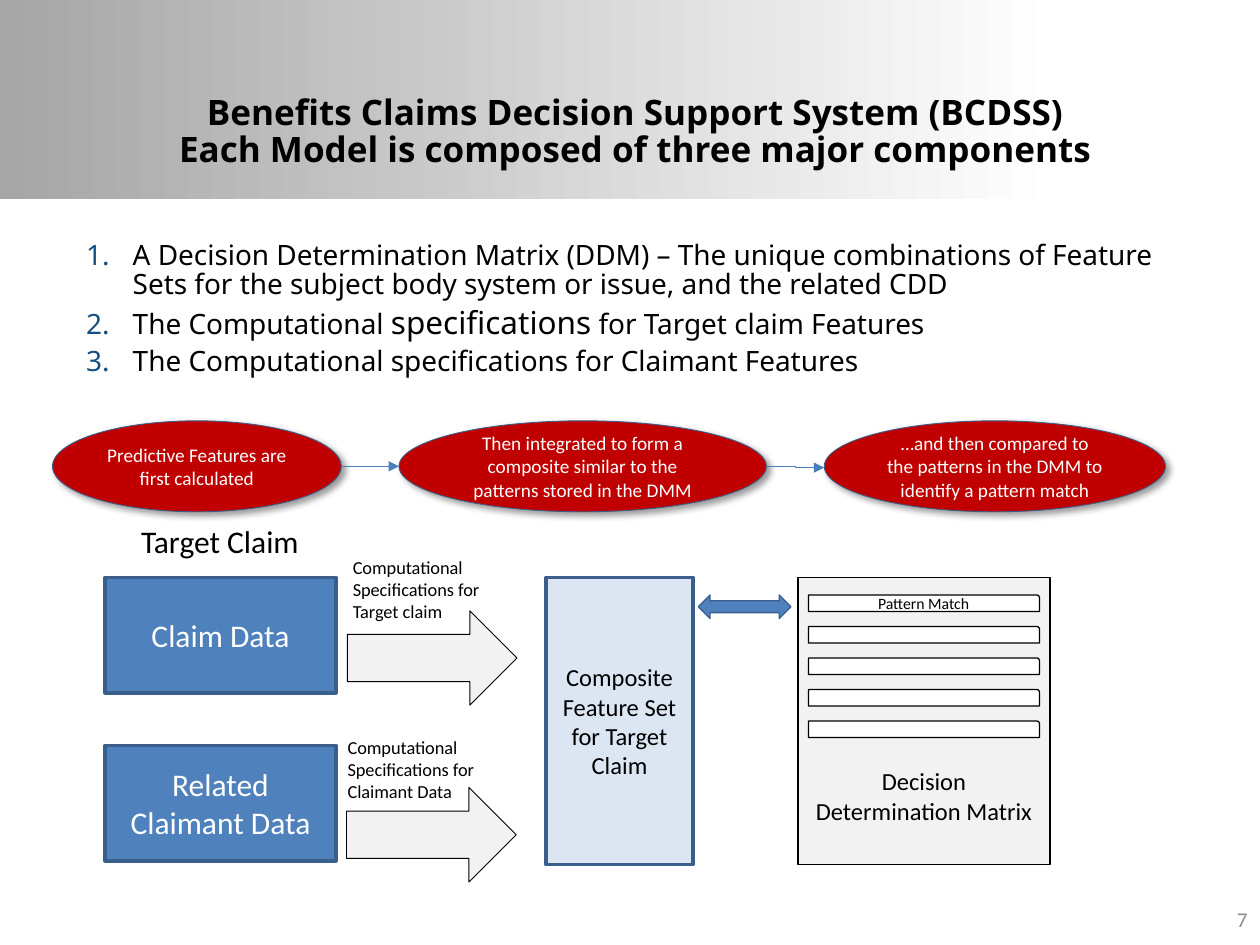
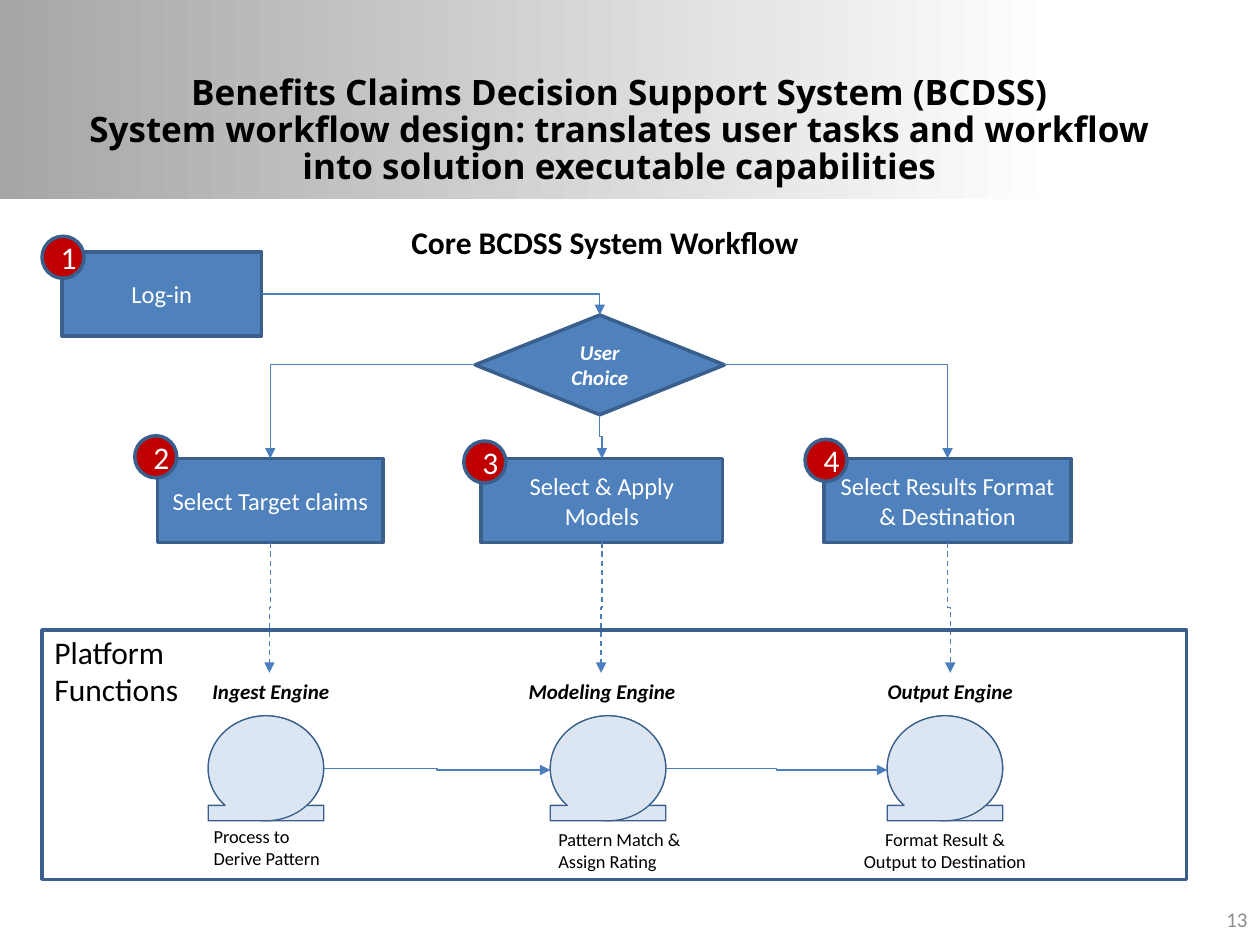
from lxml.etree import SubElement
from pptx import Presentation
from pptx.dml.color import RGBColor
from pptx.enum.dml import MSO_LINE
from pptx.enum.shapes import MSO_CONNECTOR, MSO_SHAPE
from pptx.enum.text import MSO_ANCHOR, MSO_AUTO_SIZE, PP_ALIGN
from pptx.oxml.ns import qn
from pptx.util import Pt

BLUE, NAVY, PALE, RED = "4F81BD", "3A5F8C", "DCE6F2", "C00000"
LIGHT, BLACK, WHITE, GREY = "F2F2F2", "000000", "FFFFFF", "8C8C8C"
ARROW, NUMBER, BAND = "4B7EBC", "154F82", "A6A6A6"
HEADING_FONT, LABEL_FONT = "Noto Sans", "Calibri"
HEADING_SPACING = 0.88
SYSTEM = "Benefits Claims Decision Support System (BCDSS)"


def rgb(value):
    """Turn a hex string into a colour."""
    return RGBColor.from_string(value)


def points(*lengths):
    """Turn numbers into lengths in points."""
    return [Pt(length) for length in lengths]


def add_run(paragraph, text, size, color=BLACK, font=LABEL_FONT, bold=False, italic=False):
    """Append formatted text, breaking the line at each newline."""
    for index, line in enumerate(text.split("\n")):
        if index:
            line_break = paragraph._p.add_br()
            SubElement(line_break, qn("a:rPr"), sz=str(size * 100))
        run = paragraph.add_run()
        run.text = line
        run.font.size, run.font.name = Pt(size), font
        run.font.bold, run.font.italic = bold, italic
        run.font.color.rgb = rgb(color)


def write(shape, text, size, align=PP_ALIGN.LEFT, anchor=MSO_ANCHOR.TOP, wrap=True, spacing=None, **style):
    """Fill a shape with one formatted paragraph."""
    frame = shape.text_frame
    frame.word_wrap, frame.vertical_anchor = wrap, anchor
    paragraph = frame.paragraphs[0]
    paragraph.alignment = align
    if spacing:
        paragraph.line_spacing = spacing
    add_run(paragraph, text, size, **style)


def add_label(slide, place, text, size, **style):
    """Add a free-standing text box."""
    write(slide.shapes.add_textbox(*points(*place)), text, size, **style)


def add_block(shapes, kind, place, fill, line=NAVY, weight=0.75, text="", size=14, color=WHITE, **style):
    """Add a preset shape with fill, outline and centred text."""
    block = shapes.add_shape(kind, *points(*place))
    block.shadow.inherit = False
    if fill:
        block.fill.solid()
        block.fill.fore_color.rgb = rgb(fill)
    else:
        block.fill.background()
    block.line.color.rgb = rgb(line)
    block.line.width = Pt(weight)
    if text:
        write(block, text, size, align=PP_ALIGN.CENTER, anchor=MSO_ANCHOR.MIDDLE, color=color, **style)
    return block


def add_step(slide, place, text):
    """Add a red ellipse with a soft shadow."""
    step = add_block(slide.shapes, MSO_SHAPE.OVAL, place, RED, weight=0.5, text=text, size=11)
    effects = step._element.spPr.find(qn("a:effectLst"))
    shadow = SubElement(effects, qn("a:outerShdw"), blurRad=str(Pt(4)), dist=str(Pt(3)),
                        dir="2700000", algn="tl", rotWithShape="0")
    tint = SubElement(shadow, qn("a:srgbClr"), val=BLACK)
    SubElement(tint, qn("a:alpha"), val="40000")


def add_arrow(slide, start, end, route=MSO_CONNECTOR.ELBOW, dashed=False, corner=False, downward=False):
    """Add an arrow that is straight, jogged, or turns one corner."""
    (x1, y1), (x2, y2) = start, end
    if downward:
        middle_x, middle_y = (x1 + x2) / 2, (y1 + y2) / 2
        half_run, half_rise = (y2 - y1) / 2, (x2 - x1) / 2
        x1, x2 = middle_x - half_run, middle_x + half_run
        y1, y2 = middle_y + half_rise, middle_y - half_rise
    arrow = slide.shapes.add_connector(route, *points(x1, y1, x2, y2))
    properties = arrow._element.spPr
    if downward:
        properties.find(qn("a:xfrm")).set("rot", "5400000")
    if corner:
        properties.find(qn("a:prstGeom")).set("prst", "bentConnector2")
    arrow.line.color.rgb = rgb(ARROW)
    arrow.line.width = Pt(0.75)
    if dashed:
        arrow.line.dash_style = MSO_LINE.DASH
    SubElement(properties.find(qn("a:ln")), qn("a:tailEnd"), type="triangle")
    SubElement(properties, qn("a:effectLst"))


def add_band(presentation, slide):
    """Put the grey title band on the slide master."""
    band = slide.shapes.add_shape(MSO_SHAPE.RECTANGLE, *points(0, 0, 720, 114))
    band.shadow.inherit = False
    band.line.fill.background()
    band.fill.gradient()
    band.fill.gradient_angle = 0
    for stop, (position, color) in zip(band.fill.gradient_stops, [(0, BAND), (0.84, WHITE)]):
        stop.position = position
        stop.color.rgb = rgb(color)
    presentation.slide_master.shapes._spTree.insert(2, band._element)


def place_placeholder(placeholder, place):
    """Move a placeholder and switch off text fitting."""
    placeholder.left, placeholder.top, placeholder.width, placeholder.height = points(*place)
    placeholder.text_frame.auto_size = MSO_AUTO_SIZE.NONE


def start_slide(presentation, layout, title_place, subtitle, number):
    """Add a slide with its title and page number."""
    slide = presentation.slides.add_slide(presentation.slide_layouts[layout])
    title = slide.shapes.title
    place_placeholder(title, title_place)
    write(title, f"{SYSTEM}\n{subtitle}", 20, align=PP_ALIGN.CENTER, anchor=MSO_ANCHOR.MIDDLE,
          spacing=HEADING_SPACING, font=HEADING_FONT, bold=True)
    add_label(slide, (552, 510.5, 168, 29), number, 12, align=PP_ALIGN.RIGHT,
              anchor=MSO_ANCHOR.MIDDLE, color=GREY)
    return slide


def fill_numbered_list(body, items):
    """Write numbered paragraphs made of (text, size) parts."""
    place_placeholder(body, (42, 134.5, 624, 106))
    frame = body.text_frame
    for index, parts in enumerate(items):
        paragraph = frame.add_paragraph() if index else frame.paragraphs[0]
        properties = paragraph._p.get_or_add_pPr()
        properties.set("marL", str(Pt(26.64)))
        properties.set("indent", str(-Pt(26.64)))
        SubElement(SubElement(properties, qn("a:buClr")), qn("a:srgbClr"), val=NUMBER)
        SubElement(properties, qn("a:buFont"), typeface=HEADING_FONT)
        SubElement(properties, qn("a:buAutoNum"), type="arabicPeriod")
        paragraph.alignment = PP_ALIGN.JUSTIFY
        paragraph.line_spacing = HEADING_SPACING
        paragraph.space_before = Pt(4 if index else 0)
        for text, size in parts:
            add_run(paragraph, text, size, font=HEADING_FONT)


def add_engine(slide, left):
    """Add an engine symbol made of two mirrored tapes."""
    tapes = slide.shapes.add_group_shape().shapes
    for mirrored in (False, True):
        tape = add_block(tapes, MSO_SHAPE.FLOWCHART_SEQUENTIAL_ACCESS_STORAGE, (left, 409, 66, 60), PALE)
        if mirrored:
            tape._element.spPr.find(qn("a:xfrm")).set("flipH", "1")


def build_components(slide):
    """Draw the model components and the matching process."""
    fill_numbered_list(slide.placeholders[1], [
        [("A Decision Determination Matrix (DDM) – The unique combinations of Feature Sets "
          "for the subject body system or issue, and the related CDD", 16)],
        [("The Computational ", 16), ("specifications", 18), (" for Target claim Features", 16)],
        [("The Computational specifications for Claimant Features", 16)],
    ])
    for top, text in [(330, "Claim Data"), (426, "Related Claimant Data")]:
        add_block(slide.shapes, MSO_SHAPE.RECTANGLE, (60, top, 132, 66), BLUE, weight=2, text=text, size=18)
    add_block(slide.shapes, MSO_SHAPE.RECTANGLE, (312, 330, 84, 164), PALE, weight=2,
              text="Composite Feature Set for Target Claim", color=BLACK)
    specifications = [
        ((198.5, 349, 97, 54), (194.5, 314.5, 102, 45.5), "Target claim"),
        ((198, 450, 97, 54), (191.5, 417, 103.5, 45.5), "Claimant Data"),
    ]
    for arrow_place, label_place, subject in specifications:
        add_block(slide.shapes, MSO_SHAPE.RIGHT_ARROW, arrow_place, LIGHT, line=BLACK, weight=0.5)
        add_label(slide, label_place, f"Computational Specifications for {subject}", 10.5)
    matrix = add_block(slide.shapes, MSO_SHAPE.RECTANGLE, (456, 330, 144, 164), LIGHT, line=BLACK,
                       text="Decision Determination Matrix", color=BLACK)
    matrix.text_frame.margin_top = Pt(89)
    add_label(slide, (73.5, 294.5, 106, 29), "Target Claim", 18, wrap=False)
    add_block(slide.shapes, MSO_SHAPE.LEFT_RIGHT_ARROW, (399, 340, 53, 13.5), BLUE)
    for row in range(5):
        add_block(slide.shapes, MSO_SHAPE.ROUND_1_RECTANGLE, (462, 340 + 18 * row, 132, 9.5), WHITE,
                  line=BLACK, text="" if row else "Pattern Match", size=9, color=BLACK)
    steps = [
        (30, 165, "Predictive Features are first calculated"),
        (228, 210, "Then integrated to form a composite similar to the patterns stored in the DMM"),
        (471, 195, "…and then compared to the patterns in the DMM to identify a pattern match"),
    ]
    for left, width, text in steps:
        add_step(slide, (left, 240.5, width, 52), text)
    add_arrow(slide, (195, 266.5), (228, 266.5), route=MSO_CONNECTOR.STRAIGHT)
    add_arrow(slide, (438, 266.5), (471, 267.25))


def build_workflow(slide):
    """Draw the user tasks and the platform engines."""
    tasks = [
        (35.5, 144, 114, "Log-in"),
        (90, 262, 129, "Select Target claims"),
        (275, 262, 138, "Select & Apply Models"),
        (471, 262, 141, "Select Results Format & Destination"),
    ]
    for left, top, width, text in tasks:
        add_block(slide.shapes, MSO_SHAPE.RECTANGLE, (left, top, width, 48), BLUE, weight=2, text=text)
    add_block(slide.shapes, MSO_SHAPE.DIAMOND, (271.5, 180, 142.5, 57), BLUE, weight=2,
              text="User Choice", size=12, bold=True, italic=True)
    task_centers = [left + width / 2 for left, _, width, _ in tasks[1:]]
    add_arrow(slide, (149.5, 168), (342.75, 180), corner=True)
    add_arrow(slide, (271.5, 208.5), (task_centers[0], 262), corner=True)
    add_arrow(slide, (342.75, 237), (task_centers[1], 262), downward=True)
    add_arrow(slide, (414, 208.5), (task_centers[2], 262), corner=True)

    engines = [
        (119, (112.5, 84.5), "Ingest Engine"),
        (314.5, (293, 102), "Modeling Engine"),
        (507, (498, 90), "Output Engine"),
    ]
    for left, (name_left, name_width), name in engines:
        add_engine(slide, left)
        add_label(slide, (name_left, 384, name_width, 21.5), name, 12,
                  align=PP_ALIGN.CENTER, bold=True, italic=True)
    captions = [
        ((115, 468, 77, 32.5), "Process to Derive Pattern", PP_ALIGN.LEFT),
        ((312, 469.5, 96.5, 32.5), "Pattern Match & Assign Rating", PP_ALIGN.LEFT),
        ((486, 469.5, 108, 32.5), "Format Result & Output to Destination", PP_ALIGN.CENTER),
    ]
    for place, text, align in captions:
        add_label(slide, place, text, 10.5, align=align)
    for (left, _, _), (next_left, _, _) in zip(engines, engines[1:]):
        add_arrow(slide, (left + 66, 439), (next_left, 440))
    for task_center, engine_x in zip(task_centers, (154, 343.5, 543)):
        add_arrow(slide, (task_center, 310), (engine_x, 384.5), dashed=True, downward=True)

    add_block(slide.shapes, MSO_SHAPE.RECTANGLE, (24, 360, 654, 142.5), None, weight=2)
    add_label(slide, (24, 358, 125, 51), "Platform Functions", 18)
    badges = [(24, 135), (77, 249), (265, 252), (460, 251)]
    for number, (left, top) in enumerate(badges, start=1):
        add_block(slide.shapes, MSO_SHAPE.OVAL, (left, top, 24, 24), RED, weight=2, text=str(number), size=18)
    add_label(slide, (228, 124, 237.5, 29), "Core BCDSS System Workflow", 18, wrap=False, bold=True)


def main():
    """Build and save the presentation."""
    presentation = Presentation()
    presentation.slide_width, presentation.slide_height = points(720, 540)
    components = start_slide(presentation, 1, (30, 31, 666, 90),
                             "Each Model is composed of three major components", "7")
    add_band(presentation, components)
    build_components(components)
    workflow = start_slide(
        presentation, 5, (30, 30, 648, 90),
        "System workflow design: translates user tasks and workflow into solution executable capabilities", "13")
    build_workflow(workflow)
    presentation.save("out.pptx")


if __name__ == "__main__":
    main()
